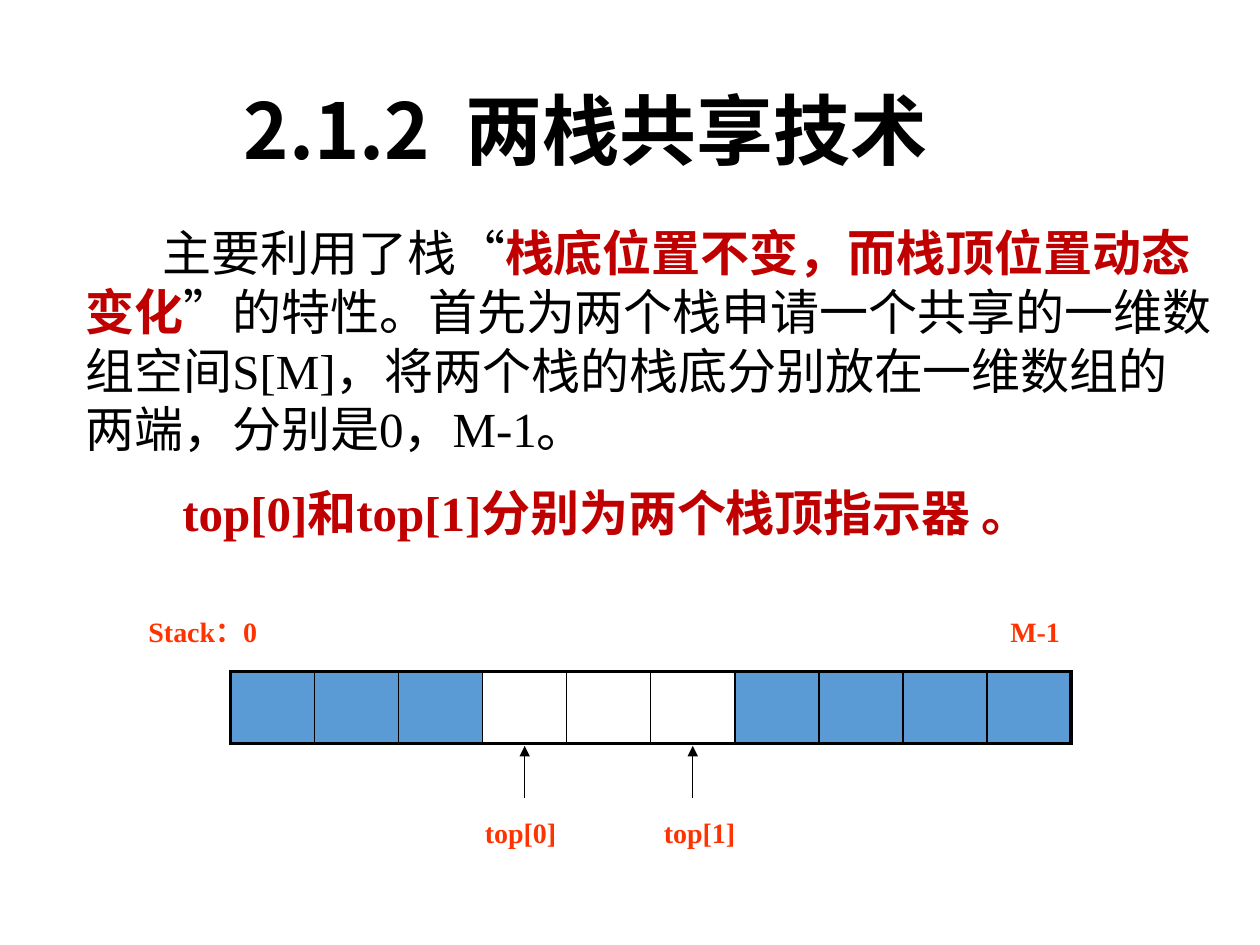
"""Build the slide on two stacks sharing one array."""
from lxml.etree import SubElement
from pptx import Presentation
from pptx.dml.color import RGBColor
from pptx.enum.shapes import MSO_CONNECTOR
from pptx.enum.text import MSO_ANCHOR, MSO_AUTO_SIZE, PP_ALIGN
from pptx.oxml.ns import qn
from pptx.util import Inches, Pt

COLORS = {"ink": "000000", "key": "C00000", "label": "FF3300", "used": "5B9BD5"}
SERIF, CJK = "Times New Roman", "Noto Sans CJK SC"

TITLE = "2.1.2  两栈共享技术"
BODY = [
    ("主要利用了栈“", "ink", False),
    ("栈底位置不变，而栈顶位置动态变化", "key", True),
    ("”的特性。首先为两个栈申请一个共享的一维数组空间S[M]，"
     "将两个栈的栈底分别放在一维数组的两端，分别是0，M-1。", "ink", False),
]
POINTERS = [("top[0]和top[1]分别为两个栈顶指示器 。", "key", True)]
LABELS = [
    ("Stack：0", 1.08, 4.83, 1.42),
    ("M-1", 7.92, 4.83, 1.17),
    ("top[0]", 3.75, 6.42, 0.92),
    ("top[1]", 5.17, 6.42, 0.92),
]
CELLS = [True] * 3 + [False] * 3 + [True] * 4
TOP_CELLS = (3, 5)
LEFT, TOP, WIDTH, HEIGHT = 1.83, 5.33, 6.67, 0.57
STEP = WIDTH / len(CELLS)


def rgb(name):
    return RGBColor.from_string(COLORS[name])


def place(sp, x, y, w, h):
    sp.left, sp.top, sp.width, sp.height = (Inches(v) for v in (x, y, w, h))


def write(sp, runs, size, font=SERIF, ea=None, align=PP_ALIGN.LEFT, line=None):
    tf = sp.text_frame
    tf.word_wrap = True
    tf.auto_size = MSO_AUTO_SIZE.NONE
    p = tf.paragraphs[0]
    p.alignment = align
    p.space_before = Pt(0)
    if line:
        p.line_spacing = Pt(line)
        tf.margin_top = Inches(0.1)
    for text, color, bold in runs:
        r = p.add_run()
        r.text = text
        r.font.name, r.font.size, r.font.bold = font, Pt(size), bold
        r.font.color.rgb = rgb(color)
        if ea:
            SubElement(r.font._element, qn("a:ea"), typeface=ea)
    return p


def add_border(cell, side, width):
    ln = SubElement(cell._tc.get_or_add_tcPr(), qn(f"a:{side}"), w=str(Pt(width)))
    fill = SubElement(ln, qn("a:solidFill"))
    SubElement(fill, qn("a:srgbClr"), val=COLORS["ink"])


def add_stack(s):
    table = s.shapes.add_table(1, len(CELLS), Inches(LEFT), Inches(TOP),
                               Inches(WIDTH), Inches(HEIGHT)).table
    table.first_row = table.horz_banding = False
    last = len(CELLS) - 1
    for i, used in enumerate(CELLS):
        table.columns[i].width = Inches(STEP)
        cell = table.cell(0, i)
        add_border(cell, "lnL", 2.25 if i == 0 else 1)
        add_border(cell, "lnR", 2.25 if i == last else 1)
        add_border(cell, "lnT", 2.25)
        add_border(cell, "lnB", 2.25)
        if used:
            cell.fill.solid()
            cell.fill.fore_color.rgb = rgb("used")
        else:
            cell.fill.background()


def add_arrow(s, index):
    x = Inches(LEFT + (index + 0.5) * STEP)
    arrow = s.shapes.add_connector(MSO_CONNECTOR.STRAIGHT, x, Inches(6.33), x, Inches(5.92))
    arrow.line.color.rgb = rgb("ink")
    arrow.line.width = Pt(0.75)
    SubElement(arrow.line._get_or_add_ln(), qn("a:tailEnd"), type="triangle")
    SubElement(arrow._element.spPr, qn("a:effectLst"))


prs = Presentation()
prs.slide_width, prs.slide_height = Inches(10), Inches(7.5)
s = prs.slides.add_slide(prs.slide_layouts[1])

title, body = s.shapes.title, s.placeholders[1]
place(title, 0.11, 0.6, 9.08, 0.84)
title.text_frame.vertical_anchor = MSO_ANCHOR.MIDDLE
write(title, [(TITLE, "ink", True)], 44, CJK, CJK, PP_ALIGN.CENTER)

place(body, 0.58, 1.67, 9.17, 1.98)
p = write(body, BODY, 28, ea=CJK, line=33.5)
pPr = p._p.get_or_add_pPr()
pPr.set("marL", "0")
pPr.set("indent", str(Inches(0.61)))
SubElement(pPr, qn("a:buNone"))

note = s.shapes.add_textbox(Inches(1.35), Inches(3.73), Inches(8.83), Inches(0.57))
write(note, POINTERS, 28, ea=CJK, line=33.5)

add_stack(s)
for index in TOP_CELLS:
    add_arrow(s, index)
for text, x, y, w in LABELS:
    box = s.shapes.add_textbox(Inches(x), Inches(y), Inches(w), Inches(0.37))
    write(box, [(text, "label", True)], 16)

prs.save("out.pptx")
